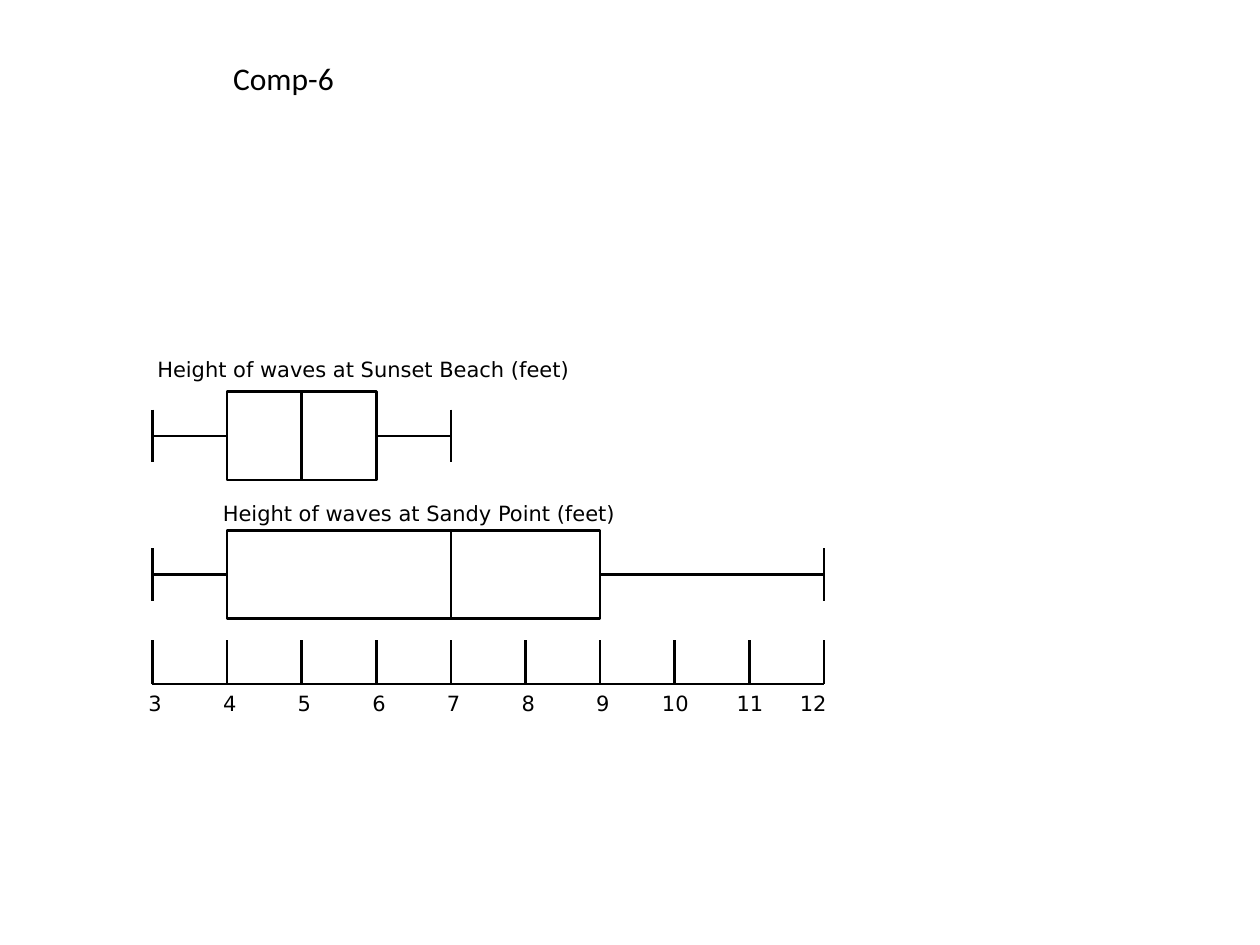
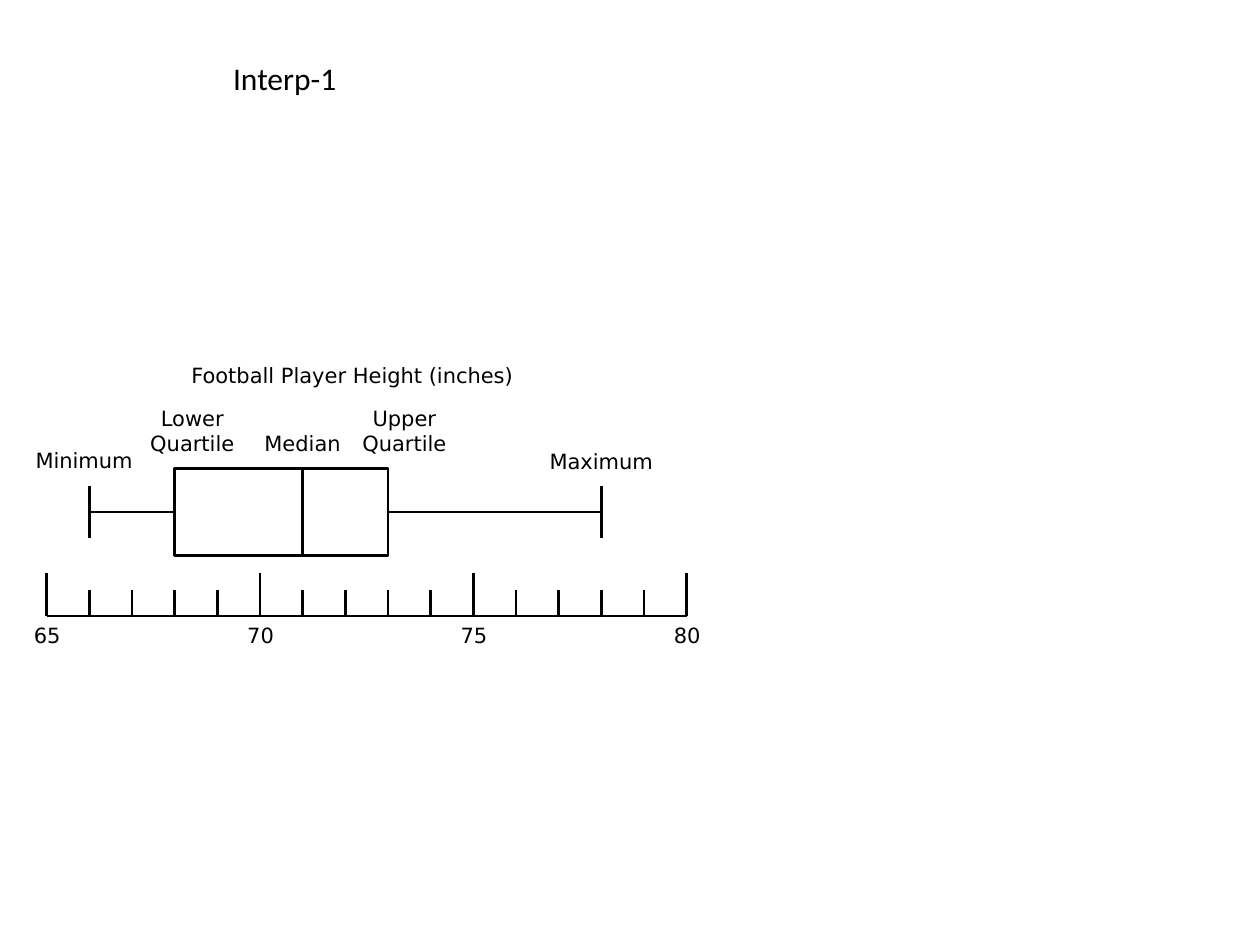
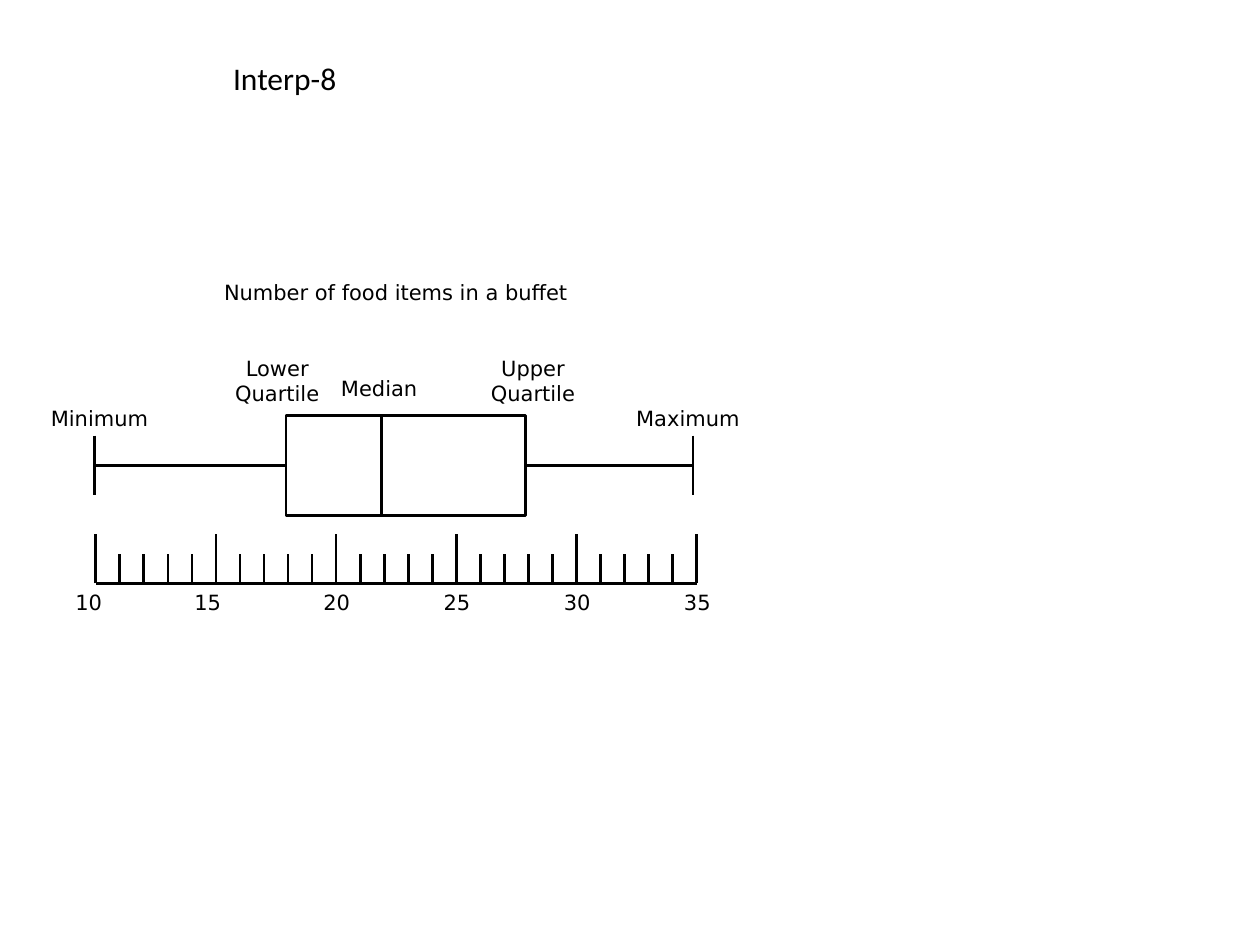
from dataclasses import dataclass

from lxml import etree
from pptx import Presentation
from pptx.dml.color import RGBColor
from pptx.enum.shapes import MSO_CONNECTOR, MSO_SHAPE
from pptx.enum.text import MSO_ANCHOR, MSO_AUTO_SIZE, PP_ALIGN
from pptx.oxml.ns import qn
from pptx.util import Inches, Pt

STRAIGHT = MSO_CONNECTOR.STRAIGHT
RECTANGLE = MSO_SHAPE.RECTANGLE
TOP = MSO_ANCHOR.TOP
NO_AUTO_SIZE = MSO_AUTO_SIZE.NONE
LEFT, CENTER = PP_ALIGN.LEFT, PP_ALIGN.CENTER
TITLE_ONLY = 5


@dataclass(frozen=True)
class Theme:
    ink: RGBColor = RGBColor(0, 0, 0)
    paper: RGBColor = RGBColor(255, 255, 255)
    title_font: str = "Calibri"
    label_font: str = "DejaVu Sans"
    title_size: Pt = Pt(18)
    label_size: Pt = Pt(12)
    line_width: Pt = Pt(1.5)
    label_height: float = 0.3
    # Shares of a box plot's height
    cap: float = 0.6
    major_tick: float = 0.5
    minor_tick: float = 0.3


THEME = Theme()


@dataclass(frozen=True)
class Scale:
    """Maps values from first to last onto inches from left to right."""
    first: int
    last: int
    left: float
    right: float

    def x(self, value):
        share = (value - self.first) / (self.last - self.first)
        return self.left + share * (self.right - self.left)


@dataclass(frozen=True)
class Plot:
    scale: Scale
    top: float
    height: float
    summary: tuple  # minimum, lower quartile, median, upper quartile, maximum


def format_text(frame, text, font, size, align):
    frame.text = text
    frame.word_wrap = True
    frame.auto_size = NO_AUTO_SIZE
    frame.vertical_anchor = TOP
    paragraph = frame.paragraphs[0]
    paragraph.alignment = align
    paragraph.font.name = font
    paragraph.font.size = size
    paragraph.font.color.rgb = THEME.ink


def add_label(slide, text, left, top, width, height=THEME.label_height, align=LEFT):
    box = slide.shapes.add_textbox(*map(Inches, (left, top, width, height)))
    format_text(box.text_frame, text, THEME.label_font, THEME.label_size, align)


def style_line(line):
    line.color.rgb = THEME.ink
    line.width = THEME.line_width


def add_line(slide, x1, y1, x2, y2):
    line = slide.shapes.add_connector(STRAIGHT, *map(Inches, (x1, y1, x2, y2)))
    style_line(line.line)
    etree.SubElement(line._element.spPr, qn("a:effectLst"))


def add_titled_slide(presentation, title):
    slide = presentation.slides.add_slide(presentation.slide_layouts[TITLE_ONLY])
    shape = slide.shapes.title
    width, height = presentation.slide_width, presentation.slide_height
    shape.left, shape.top = int(width * 0.175), Inches(0.42)
    shape.width, shape.height = int(width * 0.15), Inches(0.4)
    format_text(shape.text_frame, title, THEME.title_font, THEME.title_size, LEFT)
    return slide


def add_box_plot(slide, plot):
    minimum, lower, median, upper, maximum = map(plot.scale.x, plot.summary)
    middle = plot.top + plot.height / 2
    half_cap = plot.height * THEME.cap / 2
    for end in (minimum, maximum):
        add_line(slide, end, middle - half_cap, end, middle + half_cap)
    add_line(slide, minimum, middle, maximum, middle)
    box = slide.shapes.add_shape(
        RECTANGLE, *map(Inches, (lower, plot.top, upper - lower, plot.height)))
    box.shadow.inherit = False
    box.fill.solid()
    box.fill.fore_color.rgb = THEME.paper
    style_line(box.line)
    add_line(slide, median, plot.top, median, plot.top + plot.height)


def add_axis(slide, scale, baseline, plot_height, major_step=1, shifts=None):
    """Draw ticks and numbers; shifts moves single numbers from their usual place."""
    add_line(slide, scale.left, baseline, scale.right, baseline)
    for value in range(scale.first, scale.last + 1):
        x = scale.x(value)
        is_major = (value - scale.first) % major_step == 0
        share = THEME.major_tick if is_major else THEME.minor_tick
        add_line(slide, x, baseline, x, baseline - plot_height * share)
        if is_major:
            shift, width = (-0.13, 0.26) if value < 10 else (-0.2, 0.45)
            shift = (shifts or {}).get(value, shift)
            add_label(slide, str(value), x + shift, baseline, width)


def add_summary_labels(slide, plot, shifts, rises):
    """Centre each name near its mark, moved by a shift and raised above the box."""
    names = ("Minimum", "Lower Quartile", "Median", "Upper Quartile", "Maximum")
    widths = (1.1, 0.95, 0.83, 0.95, 1.06)
    for name, width, value, shift, rise in zip(
            names, widths, plot.summary, shifts, rises):
        height = 0.5 if "Quartile" in name else THEME.label_height
        left = plot.scale.x(value) + shift - width / 2
        add_label(slide, name, left, plot.top - rise, width, height, CENTER)


def add_wave_comparison(presentation):
    slide = add_titled_slide(presentation, "Comp-6")
    scale = Scale(3, 12, 1.21, 6.54)
    sunset = Plot(scale, 3.11, 0.7, (3, 4, 5, 6, 7))
    sandy = Plot(scale, 4.21, 0.7, (3, 4, 7, 9, 12))
    add_box_plot(slide, sunset)
    add_box_plot(slide, sandy)
    add_label(slide, "Height of waves at Sunset Beach (feet)",
              1.15, sunset.top - 0.33, 3.77)
    add_label(slide, "Height of waves at Sandy Point (feet)",
              1.67, sandy.top - 0.29, 3.7)
    add_axis(slide, scale, 5.43, sandy.height, shifts={12: -0.29})


def add_player_heights(presentation):
    slide = add_titled_slide(presentation, "Interp-1")
    scale = Scale(65, 80, 0.37, 5.45)
    plot = Plot(scale, 3.72, 0.69, (66, 68, 71, 73, 78))
    add_box_plot(slide, plot)
    add_label(slide, "Football Player Height (inches)", 1.42, plot.top - 0.89, 2.84)
    add_summary_labels(slide, plot, shifts=(-0.04, 0.14, 0, 0.13, 0),
                       rises=(0.22, 0.55, 0.35, 0.55, 0.21))
    add_axis(slide, scale, 4.89, plot.height, major_step=5)


def add_buffet_items(presentation):
    slide = add_titled_slide(presentation, "Interp-8")
    plot = Plot(Scale(10, 35, 0.75, 5.5), 3.3, 0.79, (10, 18, 22, 28, 35))
    add_box_plot(slide, plot)
    add_label(slide, "Number of food items in a buffet", 1.68, plot.top - 1.13, 3.07)
    add_summary_labels(slide, plot, shifts=(0.04, -0.07, -0.02, 0.06, -0.04),
                       rises=(0.13, 0.53, 0.37, 0.53, 0.13))
    add_axis(slide, Scale(10, 35, 0.76, 5.53), 4.63, plot.height, major_step=5,
             shifts={10: -0.26, 15: -0.27})


def main():
    presentation = Presentation()
    presentation.slide_width = Inches(10)
    presentation.slide_height = Inches(7.5)
    add_wave_comparison(presentation)
    add_player_heights(presentation)
    add_buffet_items(presentation)
    presentation.save("out.pptx")


if __name__ == "__main__":
    main()
